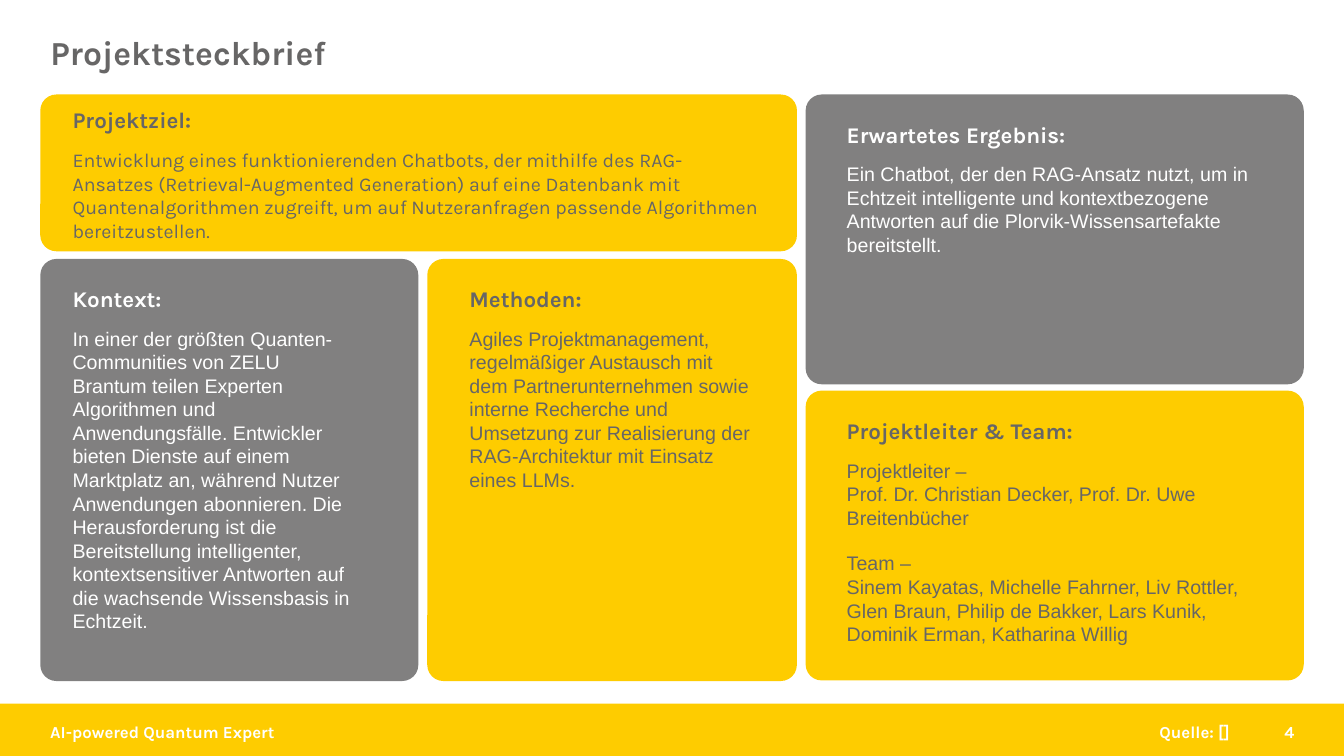
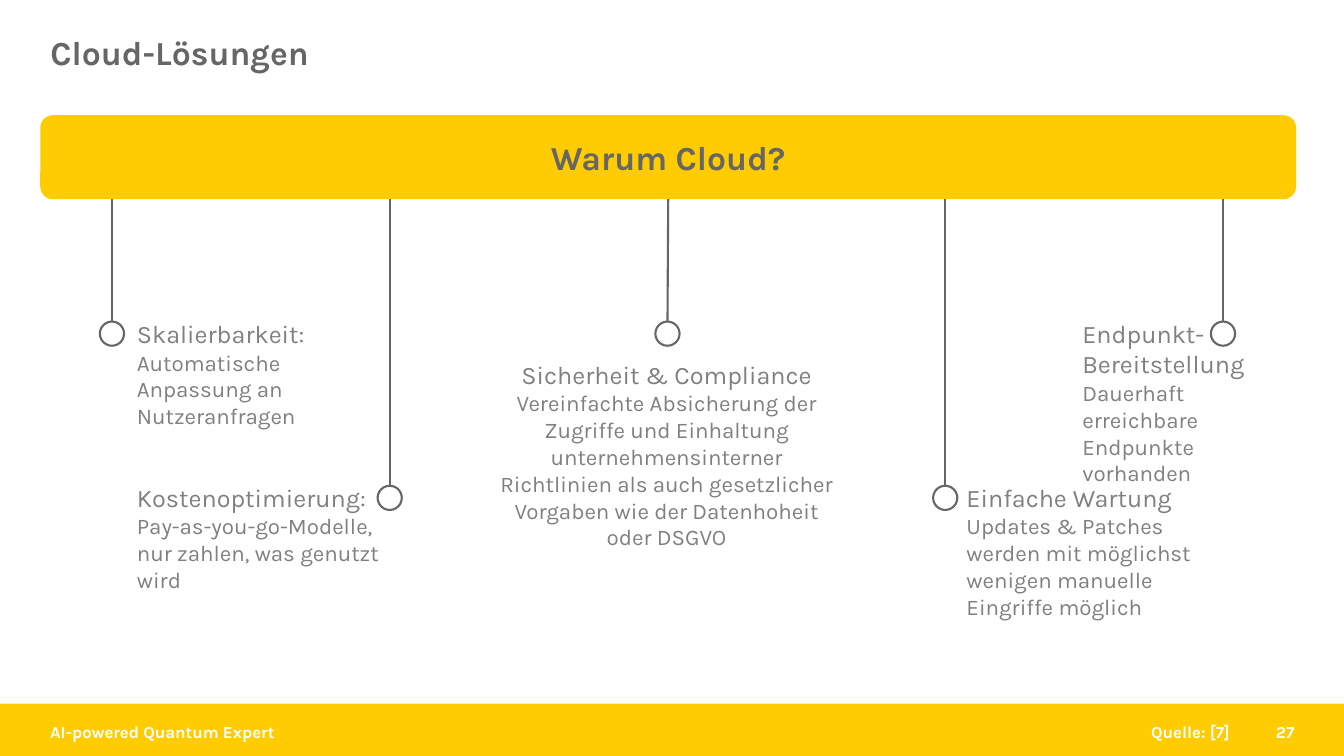
from pptx import Presentation
from pptx.dml.color import RGBColor
from pptx.enum.shapes import MSO_CONNECTOR as CONN, MSO_SHAPE as SHAPE
from pptx.enum.text import MSO_ANCHOR as ANCHOR, MSO_AUTO_SIZE as AUTOSIZE, PP_ALIGN as ALIGN
from pptx.oxml.ns import qn
from pptx.util import Pt
from lxml.etree import SubElement

COLORS = {
    "yellow": "FECC00",
    "gray": "818080",
    "dark": "676666",
    "white": "FFFFFF",
}
KARLA, ARIAL = "Karla", "Arial"
WIDTH, HEIGHT = 960, 540
LEFT = 28.8
BAND_TOP = 502.6
FOOTER_TOP, FOOTER_HEIGHT = 515.5, 15
CARD_RADIUS = 11.5
BANNER_RADIUS = 9


def rgb(name):
    return RGBColor.from_string(COLORS[name])


def points(*values):
    return [Pt(v) for v in values]


def add_text(tf, text, size, color, font=KARLA, bold=False, align=ALIGN.LEFT, before=0, after=0):
    p = tf.paragraphs[0]
    if p.runs:
        p = tf.add_paragraph()
    p.alignment = align
    p.space_before, p.space_after = Pt(before), Pt(after)
    r = p.add_run()
    r.text = text
    r.font.name, r.font.size, r.font.bold = font, Pt(size), bold
    r.font.color.rgb = rgb(color)
    return p


def add_box(s, kind, box, fill=None, radius=None):
    sp = s.shapes.add_shape(kind, *points(*box))
    sp.shadow.inherit = False
    if fill:
        sp.fill.solid()
        sp.fill.fore_color.rgb = rgb(fill)
        sp.line.fill.background()
    else:
        sp.fill.background()
        sp.line.color.rgb = rgb("dark")
        sp.line.width = Pt(1.5)
    if radius:
        sp.adjustments[0] = radius / min(box[2:])
    return sp


def add_textbox(s, box, anchor=ANCHOR.TOP):
    sp = s.shapes.add_textbox(*points(*box))
    sp.text_frame.word_wrap = True
    sp.text_frame.vertical_anchor = anchor
    return sp


def add_footer(s, left, width, text, align=ALIGN.LEFT):
    sp = add_textbox(s, (left, FOOTER_TOP, width, FOOTER_HEIGHT), ANCHOR.MIDDLE)
    add_text(sp.text_frame, text, 12, "white", bold=True, align=align)
    return sp


def add_slide(prs, layout, title, number, source):
    s = prs.slides.add_slide(layout)
    sp = s.shapes.title
    sp.left, sp.top, sp.width, sp.height = points(LEFT, 22.3, 677.5, 34)
    tf = sp.text_frame
    tf.word_wrap, tf.auto_size = True, AUTOSIZE.NONE
    tf.vertical_anchor = ANCHOR.MIDDLE
    add_text(tf, title, 24, "dark", bold=True).line_spacing = 0.9
    add_footer(s, 715.7, 216, number, ALIGN.RIGHT)
    add_footer(s, 561.6, 324, source, ALIGN.RIGHT)
    return s


def share_band(s, layout):
    band = add_box(s, SHAPE.RECTANGLE, (0, BAND_TOP, WIDTH, HEIGHT - BAND_TOP), "yellow")
    label = add_footer(s, LEFT, 324, "AI-powered Quantum Expert")
    for sp in (label, band):
        layout.shapes.element.insert(2, sp.element)


def add_card(s, box, fill, margins, heading, body, font=ARIAL):
    color = "white" if fill == "gray" else "dark"
    tf = add_box(s, SHAPE.ROUNDED_RECTANGLE, box, fill, CARD_RADIUS).text_frame
    tf.word_wrap = True
    tf.vertical_anchor = ANCHOR.TOP
    tf.margin_left, tf.margin_top, tf.margin_right = points(*margins)
    tf.margin_bottom = 0
    add_text(tf, heading, 16, color, bold=True, after=10.5)
    for text, before in body:
        add_text(tf, text, 14, color, font, before=before)


def add_drop(s, banner, x, top, middle):
    size = 17.3
    circle = add_box(s, SHAPE.OVAL, (x - size / 2, top, size, size))
    bottom = banner.top + banner.height
    line = s.shapes.add_connector(CONN.STRAIGHT, Pt(x), bottom, Pt(x), Pt(top))
    if middle:
        line.begin_connect(banner, 2)
    line.end_connect(circle, 0)
    line.line.color.rgb = rgb("dark")
    line.line.width = Pt(1.5)
    SubElement(line.element.spPr, qn("a:effectLst"))


def add_label(s, box, headings, body, align=ALIGN.LEFT):
    tf = add_textbox(s, box).text_frame
    for heading in headings:
        add_text(tf, heading, 18, "gray", align=align)
    add_text(tf, body, 16, "gray", align=align)


def build_profile(s):
    add_card(s, (LEFT, 67.5, 540.5, 112), "yellow", (19.7, 5.2, 20.5), "Projektziel:", [
        ("Entwicklung eines funktionierenden Chatbots, der mithilfe des RAG-Ansatzes "
         "(Retrieval-Augmented Generation) auf eine Datenbank mit Quantenalgorithmen zugreift, "
         "um auf Nutzeranfragen passende Algorithmen bereitzustellen.", 0)], KARLA)
    add_card(s, (LEFT, 185, 270, 301.5), "gray", (19.7, 15.4, 39.8), "Kontext:", [
        ("In einer der größten Quanten-Communities von ZELU Brantum teilen Experten Algorithmen "
         "und Anwendungsfälle. Entwickler bieten Dienste auf einem Marktplatz an, während Nutzer "
         "Anwendungen abonnieren. Die Herausforderung ist die Bereitstellung intelligenter, "
         "kontextsensitiver Antworten auf die wachsende Wissensbasis in Echtzeit.", 0)])
    add_card(s, (305.2, 185, 264, 301.5), "yellow", (26.8, 15.4, 26.8), "Methoden:", [
        ("Agiles Projektmanagement, regelmäßiger Austausch mit dem Partnerunternehmen sowie "
         "interne Recherche und Umsetzung zur Realisierung der RAG-Architektur mit Einsatz "
         "eines LLMs.", 0)])
    add_card(s, (575.5, 67.5, 355.8, 207), "gray", (26, 15.4, 25), "Erwartetes Ergebnis:", [
        ("Ein Chatbot, der den RAG-Ansatz nutzt, um in Echtzeit intelligente und kontextbezogene "
         "Antworten auf die Plorvik-Wissensartefakte bereitstellt.", 0)])
    add_card(s, (575.5, 279, 355.8, 207), "yellow", (26, 15.4, 25), "Projektleiter & Team:", [
        ("Projektleiter –", 0),
        ("Prof. Dr. Christian Decker, Prof. Dr. Uwe Breitenbücher", 0),
        ("Team –", 16),
        ("Sinem Kayatas, Michelle Fahrner, Liv Rottler, Glen Braun, Philip de Bakker, "
         "Lars Kunik, Dominik Erman, Katharina Willig", 0)])


def build_cloud(s):
    width, step = 897, 198.4
    upper, lower = 229.7, 347
    banner = add_box(s, SHAPE.ROUNDED_RECTANGLE, (LEFT, 82.3, width, 60), "yellow", BANNER_RADIUS)
    banner.text_frame.vertical_anchor = ANCHOR.MIDDLE
    add_text(banner.text_frame, "Warum Cloud?", 24, "dark", bold=True, align=ALIGN.CENTER)
    center = LEFT + width / 2 - 0.5
    for i, top in enumerate((upper, lower, upper, lower, upper)):
        add_drop(s, banner, center + (i - 2) * step, top, i == 2)
    upper_text, lower_text = upper - 5.8, lower - 6.4
    add_label(s, (90.7, upper_text, 163.5, 87), ["Skalierbarkeit:"],
              "Automatische Anpassung an Nutzeranfragen")
    add_label(s, (347.2, 252.9, 258, 126), ["Sicherheit & Compliance"],
              "Vereinfachte Absicherung der Zugriffe und Einhaltung unternehmensinterner "
              "Richtlinien als auch gesetzlicher Vorgaben wie der Datenhoheit oder DSGVO",
              ALIGN.CENTER)
    add_label(s, (90.7, lower_text, 198, 87), ["Kostenoptimierung:"],
              "Pay-as-you-go-Modelle, nur zahlen, was genutzt wird")
    add_label(s, (683.3, lower_text, 186, 106.5), ["Einfache Wartung"],
              "Updates & Patches werden mit möglichst wenigen manuelle Eingriffe möglich")
    add_label(s, (766, upper_text, 171, 90), ["Endpunkt-", "Bereitstellung"],
              "Dauerhaft erreichbare Endpunkte vorhanden")


def main():
    prs = Presentation()
    prs.slide_width, prs.slide_height = points(WIDTH, HEIGHT)
    layout = prs.slide_layouts[5]
    profile = add_slide(prs, layout, "Projektsteckbrief", "4", "Quelle: []")
    build_profile(profile)
    cloud = add_slide(prs, layout, "Cloud-Lösungen", "27", "Quelle: [7]")
    build_cloud(cloud)
    share_band(profile, layout)
    prs.save("out.pptx")


if __name__ == "__main__":
    main()
